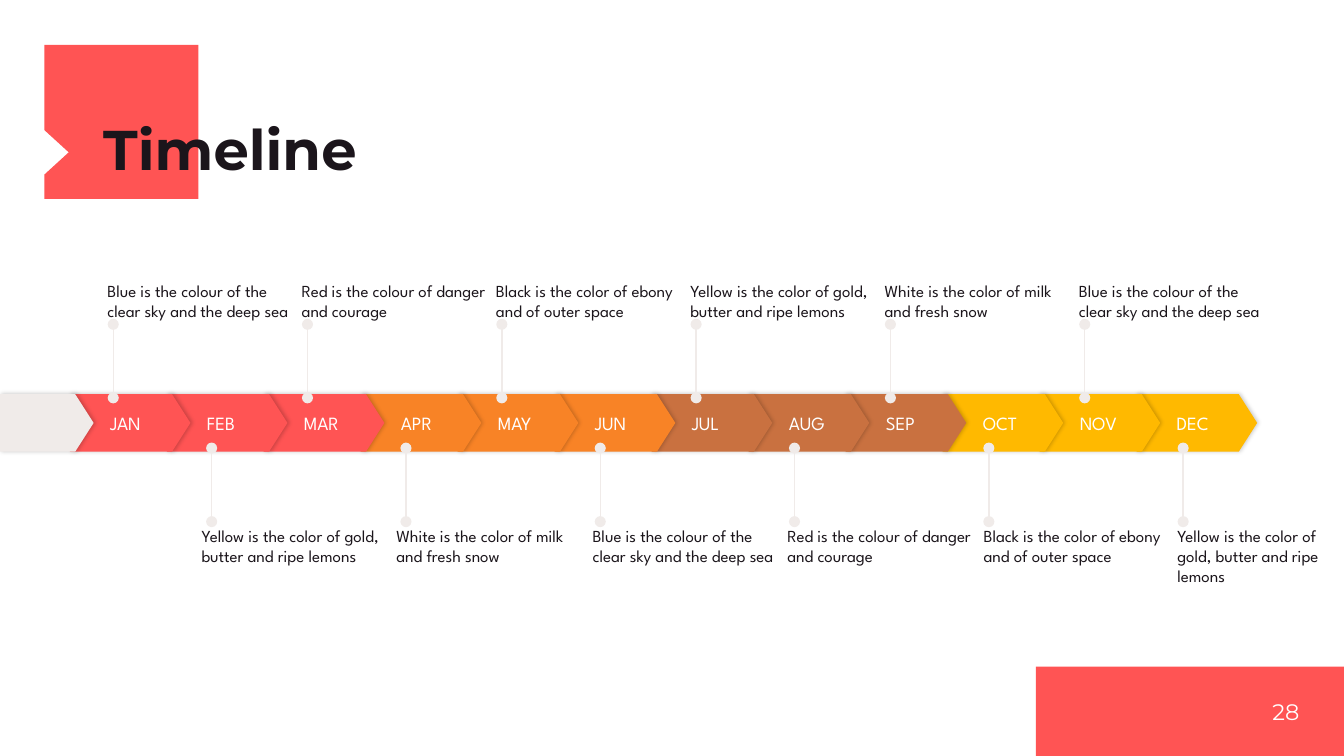
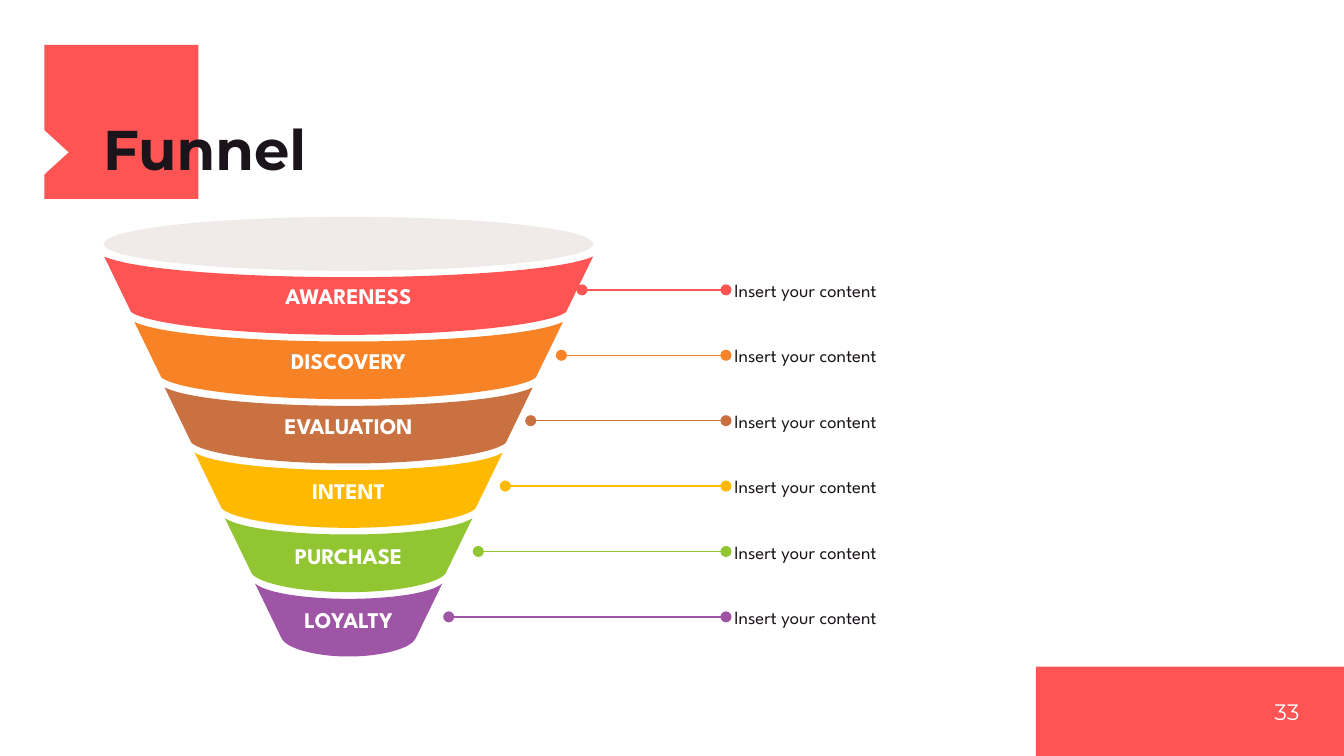
import pptx
import pptx.dml.color
import pptx.enum.shapes
import pptx.enum.text
import pptx.oxml
import pptx.oxml.ns
import pptx.util

Cm = pptx.util.Cm
Pt = pptx.util.Pt
RGB = pptx.dml.color.RGBColor
SHAPE = pptx.enum.shapes.MSO_SHAPE
ANCHOR = pptx.enum.text.MSO_ANCHOR
ALIGN = pptx.enum.text.PP_ALIGN
qn = pptx.oxml.ns.qn
A_NS = pptx.oxml.ns.nsdecls("a")

RED = RGB(0xFF, 0x54, 0x54)
ORANGE = RGB(0xF8, 0x83, 0x26)
BROWN = RGB(0xC9, 0x71, 0x40)
YELLOW = RGB(0xFF, 0xB9, 0x00)
GREEN = RGB(0x92, 0xC5, 0x32)
PURPLE = RGB(0x9F, 0x55, 0xA5)
GREY = RGB(0xF0, 0xEB, 0xE9)
INK = RGB(0x1B, 0x15, 0x1B)
WHITE = RGB(0xFF, 0xFF, 0xFF)

HEAD_FONT = "Montserrat"
BODY_FONT = "League Spartan"
NO_INSETS = dict(margin_left=0, margin_top=0, margin_right=0, margin_bottom=0)
BAND_INSETS = dict(margin_left=Cm(0.18), margin_top=Cm(0.1),
                   margin_right=Cm(0.18), margin_bottom=Cm(0.1))

MONTHS = ["JAN", "FEB", "MAR", "APR", "MAY", "JUN",
          "JUL", "AUG", "SEP", "OCT", "NOV", "DEC"]
QUARTER_COLORS = [RED, ORANGE, BROWN, YELLOW]
BLUE_NOTE = "Blue is the colour of the clear sky and the deep sea"
RED_NOTE = "Red is the colour of danger and courage"
BLACK_NOTE = "Black is the color of ebony and of outer space"
YELLOW_NOTE = "Yellow is the color of gold, butter and ripe lemons"
WHITE_NOTE = "White is the color of milk and fresh snow"
NOTES_ABOVE = [BLUE_NOTE, RED_NOTE, BLACK_NOTE, YELLOW_NOTE, WHITE_NOTE, BLUE_NOTE]
# text, left and width in cm from the band's left
NOTES_BELOW = [
    (YELLOW_NOTE, 2.49, 3.48),
    (WHITE_NOTE, 6.17, 3.48),
    (BLUE_NOTE, 9.88, 3.48),
    (RED_NOTE, 13.56, 3.48),
    (BLACK_NOTE, 17.27, 3.48),
    (YELLOW_NOTE, 20.93, 2.87),
]

# label, colour, where its callout line starts (cm from the funnel's left)
STAGES = [
    ("AWARENESS", RED, 9.04),
    ("DISCOVERY", ORANGE, 8.65),
    ("EVALUATION", BROWN, 8.07),
    ("INTENT", YELLOW, 7.59),
    ("PURCHASE", GREEN, 7.08),
    ("LOYALTY", PURPLE, 6.52),
]


def set_all(obj, values):
    for name, value in values.items():
        setattr(obj, name, value)


def write(shape, text, size, color, font=BODY_FONT, bold=False,
          align=ALIGN.LEFT, **frame):
    tf = shape.text_frame
    set_all(tf, {**NO_INSETS, "word_wrap": True,
                 "auto_size": pptx.enum.text.MSO_AUTO_SIZE.NONE, **frame})
    p = tf.paragraphs[0]
    p.alignment = align
    r = p.add_run()
    r.text = text
    set_all(r.font, dict(name=font, size=Pt(size), bold=bold))
    r.font.color.rgb = color
    return p


def add_text(s, box, text, size, color=INK, **style):
    tb = s.shapes.add_textbox(*map(Cm, box))
    write(tb, text, size, color, **style)


def paint(shape, color):
    shape.shadow.inherit = False
    shape.fill.solid()
    shape.fill.fore_color.rgb = color
    shape.line.fill.background()
    return shape


def add_outline(shapes, points, color):
    points = [(Cm(x), Cm(y)) for x, y in points]
    fb = shapes.build_freeform(*points[0])
    fb.add_line_segments(points[1:], close=True)
    return paint(fb.convert_to_shape(), color)


def curve_segments(shape, starts):
    """Turn three straight segments, from each start index, into one curve."""
    lines = list(shape._element.iter(qn("a:lnTo")))
    for start in starts:
        curve = pptx.oxml.parse_xml(f"<a:cubicBezTo {A_NS}/>")
        lines[start].addprevious(curve)
        for line in lines[start:start + 3]:
            curve.append(line[0])
            line.getparent().remove(line)


def add_pin(s, x1, y1, x2, y2, color):
    """Thin line with a dot at each end."""
    line = s.shapes.add_connector(
        pptx.enum.shapes.MSO_CONNECTOR.STRAIGHT, Cm(x1), Cm(y1), Cm(x2), Cm(y2))
    line.line.color.rgb = color
    line.line.width = Pt(0.75)
    ln = line.line._get_or_add_ln()
    for end in ("a:headEnd", "a:tailEnd"):
        ln.append(pptx.oxml.parse_xml(f'<{end} {A_NS} type="oval"/>'))
    line._element.spPr.append(pptx.oxml.parse_xml(f"<a:effectLst {A_NS}/>"))


def add_soft_shadow(shape):
    effects = shape._element.spPr.find(qn("a:effectLst"))
    effects.append(pptx.oxml.parse_xml(
        f'<a:outerShdw {A_NS} blurRad="{Pt(2.2)}" dist="{Pt(0.8)}" dir="0"'
        ' algn="l" rotWithShape="0"><a:srgbClr val="000000">'
        '<a:alpha val="20000"/></a:srgbClr></a:outerShdw>'))


def add_base(prs, title, number):
    """Slide with the notched square, title and page number band."""
    s = prs.slides.add_slide(prs.slide_layouts[5])
    left, top, side = 0.84, 0.85, 2.91
    right, bottom = left + side, top + side
    add_outline(s.shapes, [
        (left, top), (right, top), (right, bottom), (left, bottom),
        (left, top + 2.45), (left + 0.46, top + 2.03), (left, top + 1.61),
    ], RED)
    paint(s.shapes.add_shape(SHAPE.RECTANGLE, Cm(19.58), Cm(12.6),
                             Cm(5.82), Cm(1.69)), RED)
    ph = s.shapes.title
    set_all(ph, dict(left=Cm(1.95), top=Cm(2.33), width=Cm(14.25), height=Cm(1.09)))
    p = write(ph, title, 30, INK, font=HEAD_FONT, bold=True,
              vertical_anchor=ANCHOR.BOTTOM)
    p.line_spacing = 0.8
    ph.element.getparent().append(ph.element)
    add_text(s, (22.86, 12.6, 1.7, 1.7), number, 12, WHITE, font=HEAD_FONT,
             align=ALIGN.RIGHT, vertical_anchor=ANCHOR.MIDDLE)
    return s


def add_arrow(s, left, top, width, color):
    arrow = paint(s.shapes.add_shape(SHAPE.PENTAGON, Cm(left), Cm(top),
                                     Cm(width), Cm(1.09)), color)
    arrow.adjustments[0] = 0.32
    add_soft_shadow(arrow)
    return arrow


def add_month_band(s, left, top):
    pitch = 20.16 / (len(MONTHS) - 1)
    for i, month in reversed(list(enumerate(MONTHS))):
        arrow = add_arrow(s, left + i * pitch, top, 2.28, QUARTER_COLORS[i // 3])
        write(arrow, month, 10, WHITE, margin_left=Cm(0.76),
              vertical_anchor=ANCHOR.MIDDLE)
    add_arrow(s, 0, top, 1.77, GREY)


def add_month_notes(s, left, top):
    """Notes above the odd months and below the even ones."""
    pitch = 18.36 / (len(NOTES_ABOVE) - 1)
    for i, note in enumerate(NOTES_ABOVE):
        x = left + 0.82 + i * pitch
        add_pin(s, x, top + 0.07, x, top - 1.32, GREY)
        add_text(s, (x - 0.11, top - 2.85, 3.48, 1.47), note, 9,
                 vertical_anchor=ANCHOR.BOTTOM)
    for i, (note, note_left, width) in enumerate(NOTES_BELOW):
        x = left + 2.68 + i * pitch
        add_pin(s, x, top + 2.41, x, top + 1.02, GREY)
        add_text(s, (left + note_left, top + 2.48, width, 1.47), note, 9)


def add_timeline(prs):
    s = add_base(prs, "Timeline", "28")
    band = dict(left=1.32, top=7.45)
    add_month_band(s, **band)
    add_month_notes(s, **band)


def add_funnel_band(shapes, cx, y, half, sag, color):
    """Slanted band whose upper and lower edges sag as two curves each."""
    foot, low = half - 0.51, y + 1.05
    dip, base = y + sag, y + sag + 1.09
    bend = y + 0.67 * sag
    low_bend = (low + base) / 2
    band = add_outline(shapes, [
        (cx - half, y),
        (cx - 0.87 * half, bend), (cx - 0.42 * half, dip), (cx, dip),
        (cx + 0.42 * half, dip), (cx + 0.87 * half, bend), (cx + half, y),
        (cx + foot, low),
        (cx + 0.93 * foot, low_bend), (cx + 0.53 * foot, base), (cx, base),
        (cx - 0.53 * foot, base), (cx - 0.93 * foot, low_bend), (cx - foot, low),
    ], color)
    curve_segments(band, (0, 3, 7, 10))
    return band


def add_funnel_bands(s, left, top, pitch):
    group = s.shapes.add_group_shape()
    for i, (label, color, _) in enumerate(STAGES):
        band = add_funnel_band(group.shapes, left + 4.63, top + 0.75 + i * pitch,
                               4.62 - 0.57 * i, 0.39 - 0.02 * i, color)
        write(band, label, 12, WHITE, bold=True, align=ALIGN.CENTER,
              vertical_anchor=ANCHOR.MIDDLE, **BAND_INSETS)
    paint(group.shapes.add_shape(SHAPE.OVAL, Cm(left), Cm(top), Cm(9.25), Cm(1.02)),
          GREY)


def add_funnel_callouts(s, left, top, pitch):
    for i, (_, color, start) in enumerate(STAGES):
        y = top + 1.38 + i * pitch
        add_pin(s, left + start, y, left + 11.76, y, color)
        add_text(s, (left + 11.92, y - 0.44, 7.16, 0.89), "Insert your content", 10,
                 vertical_anchor=ANCHOR.MIDDLE)


def add_funnel(prs):
    s = add_base(prs, "Funnel", "33")
    funnel = dict(left=1.96, top=4.1, pitch=6.18 / (len(STAGES) - 1))
    add_funnel_bands(s, **funnel)
    add_funnel_callouts(s, **funnel)


def main():
    prs = pptx.Presentation()
    prs.slide_width, prs.slide_height = Cm(25.4), Cm(14.29)
    add_timeline(prs)
    add_funnel(prs)
    prs.save("out.pptx")


if __name__ == "__main__":
    main()
